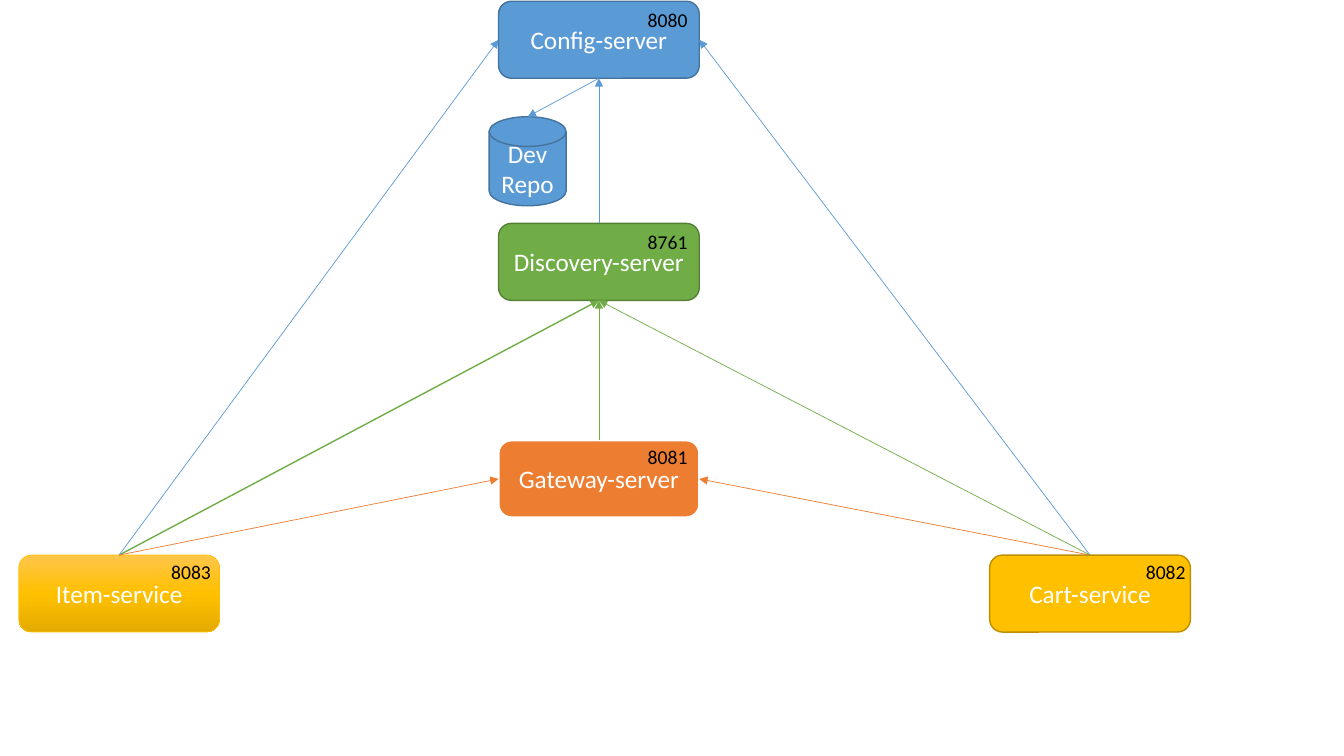
"""Draw a service map: servers, their ports and the calls between them."""
import copy
from dataclasses import dataclass

import pptx
import pptx.dml.color
import pptx.enum.shapes
import pptx.enum.text
import pptx.oxml.ns
import pptx.util

Pt = pptx.util.Pt
RGBColor = pptx.dml.color.RGBColor
Kind = pptx.enum.shapes.MSO_SHAPE
Align = pptx.enum.text.PP_ALIGN
Anchor = pptx.enum.text.MSO_ANCHOR
qn = pptx.oxml.ns.qn

WHITE = RGBColor(0xFF, 0xFF, 0xFF)
BLACK = RGBColor(0x00, 0x00, 0x00)
BLUE = RGBColor(0x5B, 0x9B, 0xD5)
NAVY = RGBColor(0x43, 0x73, 0x9E)
GREEN = RGBColor(0x70, 0xAD, 0x47)
MOSS = RGBColor(0x53, 0x80, 0x35)
ORANGE = RGBColor(0xED, 0x7D, 0x31)
GOLD = RGBColor(0xFF, 0xC0, 0x00)
BRONZE = RGBColor(0xBD, 0x8E, 0x00)
LIGHT = RGBColor(0xFF, 0xC6, 0x4B)
DARK = RGBColor(0xE3, 0xAB, 0x00)

TOP, LEFT, BOTTOM, RIGHT = range(4)
BOX_W, BOX_H = 143.4, 55
MID_X = 356.1
LOW_Y = 396.5
PORT_X = 455.6


@dataclass(frozen=True)
class Node:
    name: str
    x: float
    y: float
    fill: RGBColor
    edge: RGBColor
    weight: float = 1
    w: float = BOX_W
    h: float = BOX_H
    kind: Kind = Kind.ROUNDED_RECTANGLE


@dataclass(frozen=True)
class Port:
    text: str
    x: float
    y: float


@dataclass(frozen=True)
class Link:
    start: Node
    side: int
    end: Node
    goal: int
    color: RGBColor
    weight: float = 0.5


CONFIG = Node("Config-server", MID_X, 0.9, BLUE, NAVY)
FINDER = Node("Discovery-server", MID_X, 159.6, GREEN, MOSS)
GATE = Node("Gateway-server", MID_X, 314.6, ORANGE, WHITE, 1.5)
ITEM = Node("Item-service", 13.4, LOW_Y, GOLD, GOLD, 0.5)
CART = Node("Cart-service", 706.9, LOW_Y, GOLD, BRONZE)
REPO = Node("Dev Repo", 349.4, 83.4, BLUE, NAVY, 1, 55, 63.6,
            Kind.FLOWCHART_MAGNETIC_DISK)
NODES = [CONFIG, FINDER, GATE, ITEM, CART, REPO]

LINKS = [
    Link(ITEM, TOP, FINDER, BOTTOM, GREEN, 1),
    Link(ITEM, TOP, CONFIG, LEFT, BLUE),
    Link(GATE, TOP, FINDER, BOTTOM, GREEN),
    Link(ITEM, TOP, GATE, LEFT, ORANGE),
    Link(CART, TOP, CONFIG, RIGHT, BLUE),
    Link(CART, TOP, GATE, RIGHT, ORANGE),
    Link(CART, TOP, FINDER, BOTTOM, GREEN),
    Link(CONFIG, BOTTOM, REPO, TOP, BLUE),
    Link(FINDER, TOP, CONFIG, BOTTOM, BLUE),
]

PORTS = [
    Port("8081", PORT_X, 314.6),
    Port("8080", PORT_X, 2.2),
    Port("8761", PORT_X, 160.9),
    Port("8082", 811.4, LOW_Y),
    Port("8083", 115.2, LOW_Y),
]


def write(shape, text: str, *, size: float, color: RGBColor,
          align: Align = Align.LEFT, anchor: Anchor = Anchor.TOP) -> None:
    """Put formatted text into a shape."""
    frame = shape.text_frame
    frame.word_wrap = True
    frame.vertical_anchor = anchor
    para = frame.paragraphs[0]
    para.alignment = align
    run = para.add_run()
    run.text = text
    run.font.name = "Calibri"
    run.font.size = Pt(size)
    run.font.color.rgb = color


def shade(shape, colors: list[RGBColor]) -> None:
    """Fill a shape from top to bottom with evenly spaced colours."""
    fill = shape.fill
    fill.gradient()
    fill.gradient_angle = 270
    stops = shape.element.spPr.find(".//" + qn("a:gsLst"))
    while len(stops) < len(colors):
        stops.append(copy.deepcopy(stops[-1]))
    for i, (stop, color) in enumerate(zip(fill.gradient_stops, colors)):
        stop.position = i / (len(colors) - 1)
        stop.color.rgb = color


def draw_node(slide, node: Node):
    """Draw one server or store."""
    shape = slide.shapes.add_shape(
        node.kind, Pt(node.x), Pt(node.y), Pt(node.w), Pt(node.h))
    shape.shadow.inherit = False
    if node is ITEM:
        shade(shape, [LIGHT, GOLD, DARK])
    else:
        shape.fill.solid()
        shape.fill.fore_color.rgb = node.fill
    shape.line.color.rgb = node.edge
    shape.line.width = Pt(node.weight)
    write(shape, node.name, size=18, color=WHITE,
          align=Align.CENTER, anchor=Anchor.MIDDLE)
    return shape


def find_side(node: Node, side: int) -> tuple[float, float]:
    """Return the middle of one side of a node."""
    dx, dy = [(0.5, 0), (0, 0.5), (0.5, 1), (1, 0.5)][side]
    return node.x + dx * node.w, node.y + dy * node.h


def draw_link(slide, link: Link, shapes: dict) -> None:
    """Draw an arrow between two nodes."""
    ends = find_side(link.start, link.side) + find_side(link.end, link.goal)
    line = slide.shapes.add_connector(
        pptx.enum.shapes.MSO_CONNECTOR.STRAIGHT, *map(Pt, ends))
    line.begin_connect(shapes[link.start], link.side)
    if link.end is not REPO:
        line.end_connect(shapes[link.end], link.goal)
    line.line.color.rgb = link.color
    line.line.width = Pt(link.weight)
    props = line.element.spPr
    head = props.makeelement(qn("a:tailEnd"), {"type": "triangle"})
    props.find(qn("a:ln")).append(head)
    props.append(props.makeelement(qn("a:effectLst")))


def draw_port(slide, port: Port) -> None:
    """Draw a port number."""
    box = slide.shapes.add_textbox(Pt(port.x), Pt(port.y), Pt(44), Pt(24.2))
    write(box, port.text, size=14, color=BLACK)


def main() -> None:
    """Build and save the slide."""
    deck = pptx.Presentation()
    deck.slide_width, deck.slide_height = Pt(960), Pt(540)
    slide = deck.slides.add_slide(deck.slide_layouts[6])
    shapes = {node: draw_node(slide, node) for node in NODES}
    for link in LINKS:
        draw_link(slide, link, shapes)
    for port in PORTS:
        draw_port(slide, port)
    deck.save("out.pptx")


if __name__ == "__main__":
    main()
